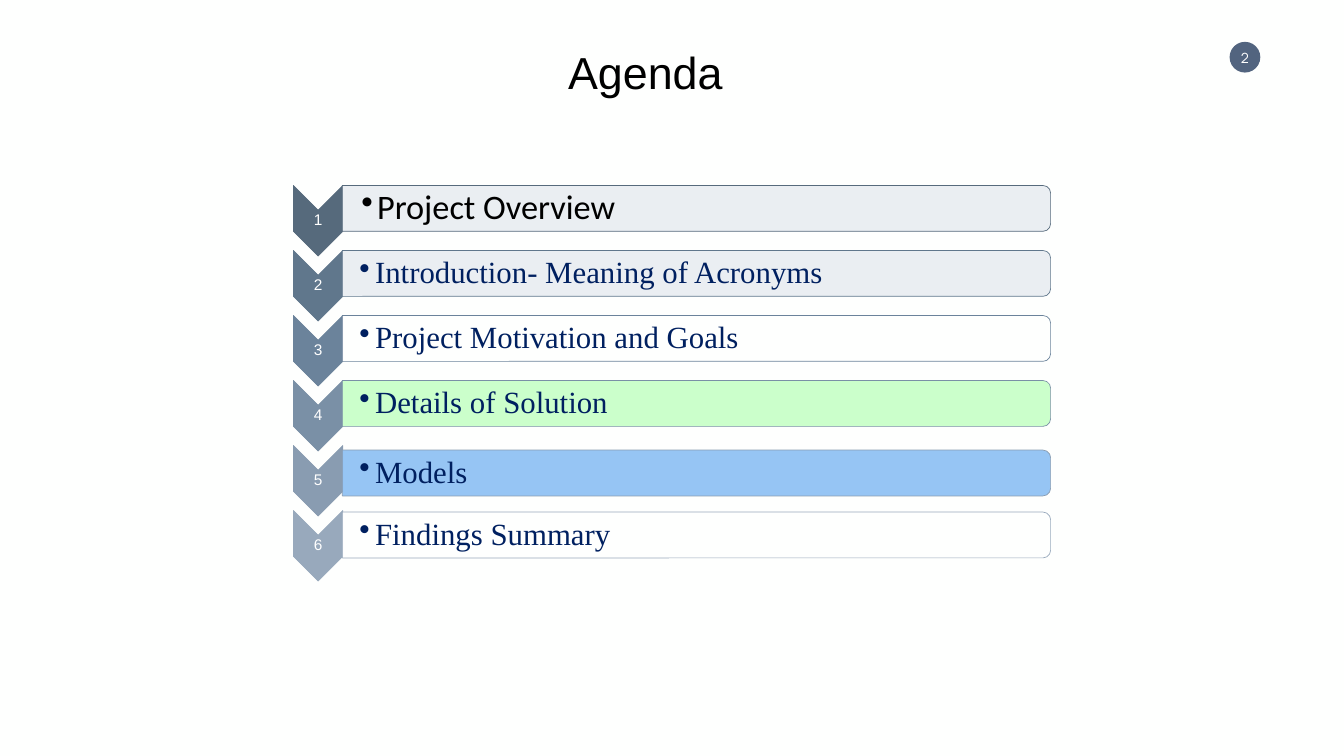
import lxml.etree
import pptx
import pptx.dml.color
import pptx.enum.shapes
import pptx.enum.text
import pptx.oxml.ns
import pptx.util

Inches = pptx.util.Inches
Pt = pptx.util.Pt
RGBColor = pptx.dml.color.RGBColor
MSO_SHAPE = pptx.enum.shapes.MSO_SHAPE
PP_ALIGN = pptx.enum.text.PP_ALIGN
MSO_ANCHOR = pptx.enum.text.MSO_ANCHOR
qn = pptx.oxml.ns.qn

PAPER = RGBColor(0xFE, 0xFF, 0xFE)
WHITE = RGBColor(0xFF, 0xFF, 0xFF)
BLACK = RGBColor(0, 0, 0)
NAVY = RGBColor(0x00, 0x20, 0x60)
BADGE = RGBColor(0x52, 0x64, 0x7F)
MIST = RGBColor(0xEA, 0xEE, 0xF2)
GREEN = RGBColor(0xCB, 0xFF, 0xCB)
SKY = RGBColor(0x8B, 0xBF, 0xF4)
STEP_COLORS = [
    RGBColor(0x56, 0x6A, 0x7C),
    RGBColor(0x60, 0x77, 0x8C),
    RGBColor(0x6B, 0x83, 0x9B),
    RGBColor(0x7A, 0x90, 0xA6),
    RGBColor(0x89, 0x9C, 0xB1),
    RGBColor(0x98, 0xA9, 0xBC),
]

TOP = 3.68
PITCH = 1.29
CHEVRON_LEFT, CHEVRON_WIDTH, CHEVRON_HEIGHT = 5.82, 0.98, 1.4
BAR_LEFT, BAR_WIDTH, BAR_HEIGHT = 6.79, 14.05, 0.91

# label, bar fill, opacity, extra drop of the bar, inset, font, size, colour
TOPICS = [
    ("Project Overview", MIST, 100, 0, 0.38, "Calibri", 49, BLACK),
    ("Introduction- Meaning of Acronyms", MIST, 100, 0, 0.34, "Times New Roman", 44, NAVY),
    ("Project Motivation and Goals", WHITE, 90, 0, 0.34, "Times New Roman", 44, NAVY),
    ("Details of Solution", GREEN, 100, 0, 0.34, "Times New Roman", 44, NAVY),
    ("Models", SKY, 90, 0.09, 0.34, "Times New Roman", 44, NAVY),
    ("Findings Summary", WHITE, 90, 0.03, 0.34, "Times New Roman", 44, NAVY),
]


def add_filled(slide, kind, left, top, width, height, fill, line=None, opacity=100):
    shape = slide.shapes.add_shape(kind, Inches(left), Inches(top), Inches(width), Inches(height))
    shape.shadow.inherit = False
    shape.fill.solid()
    shape.fill.fore_color.rgb = fill
    if opacity < 100:
        color = shape._element.spPr.find(qn("a:solidFill")).find(qn("a:srgbClr"))
        lxml.etree.SubElement(color, qn("a:alpha")).set("val", str(opacity * 1000))
    if line is None:
        shape.line.fill.background()
    else:
        shape.line.color.rgb = line
        shape.line.width = Pt(1)
    return shape


def add_turned(slide, kind, left, top, width, height, fill, line, opacity=100):
    shift = (width - height) / 2
    shape = add_filled(slide, kind, left + shift, top - shift, height, width, fill, line, opacity)
    shape.rotation = 90


def add_text(slide, text, left, top, width, height, font, size, color,
             align=PP_ALIGN.LEFT, anchor=MSO_ANCHOR.MIDDLE, insets=(0, 0, 0, 0), wrap=True):
    box = slide.shapes.add_textbox(Inches(left), Inches(top), Inches(width), Inches(height))
    frame = box.text_frame
    frame.word_wrap = wrap
    frame.vertical_anchor = anchor
    frame.margin_left, frame.margin_top, frame.margin_right, frame.margin_bottom = map(Inches, insets)
    paragraph = frame.paragraphs[0]
    paragraph.text = text
    paragraph.alignment = align
    paragraph.font.name = font
    paragraph.font.size = Pt(size)
    paragraph.font.color.rgb = color
    return paragraph


def add_bullet(paragraph):
    paragraph.level = 1
    properties = paragraph._p.get_or_add_pPr()
    properties.set("marL", str(Inches(0.31)))
    properties.set("indent", str(-Inches(0.31)))
    lxml.etree.SubElement(properties, qn("a:buChar")).set("char", "•")
    default_run = properties.find(qn("a:defRPr"))
    if default_run is not None:
        properties.append(default_run)


def add_step(slide, number, top, color):
    add_turned(slide, MSO_SHAPE.CHEVRON, CHEVRON_LEFT, top, CHEVRON_WIDTH, CHEVRON_HEIGHT, color, color)
    label = add_text(slide, str(number), CHEVRON_LEFT, top + 0.49, CHEVRON_WIDTH, 0.42,
                     "Arial", 22, WHITE, PP_ALIGN.CENTER, insets=(0.02,) * 4)
    label.line_spacing = 0.9


def add_topic(slide, topic, top, outline):
    text, fill, opacity, drop, inset, font, size, color = topic
    add_turned(slide, MSO_SHAPE.ROUND_2_SAME_RECTANGLE, BAR_LEFT, top + drop,
               BAR_WIDTH, BAR_HEIGHT, fill, outline, opacity)
    label = add_text(slide, text, BAR_LEFT, top + drop + 0.05, 14, 0.82,
                     font, size, color, insets=(inset, 0.03, 0.03, 0.03))
    label.line_spacing = 0.9
    add_bullet(label)


def main():
    deck = pptx.Presentation()
    deck.slide_width = Inches(26.66)
    deck.slide_height = Inches(15)
    slide = deck.slides.add_slide(deck.slide_layouts[6])
    slide.background.fill.solid()
    slide.background.fill.fore_color.rgb = PAPER

    add_filled(slide, MSO_SHAPE.OVAL, 24.39, 0.83, 0.61, 0.61, BADGE)
    add_text(slide, "2", 24.5, 0.97, 0.39, 0.34, "Manrope", 20, WHITE, PP_ALIGN.CENTER, wrap=False)
    add_text(slide, "Agenda", 11.17, 0.83, 4.61, 1.5, "Arial", 64, BLACK,
             anchor=MSO_ANCHOR.TOP, insets=(0.1, 0.05, 0.1, 0.05))

    for index, (topic, color) in enumerate(zip(TOPICS, STEP_COLORS)):
        top = TOP + index * PITCH
        add_step(slide, index + 1, top, color)
        add_topic(slide, topic, top, color)

    deck.save("out.pptx")


if __name__ == "__main__":
    main()
